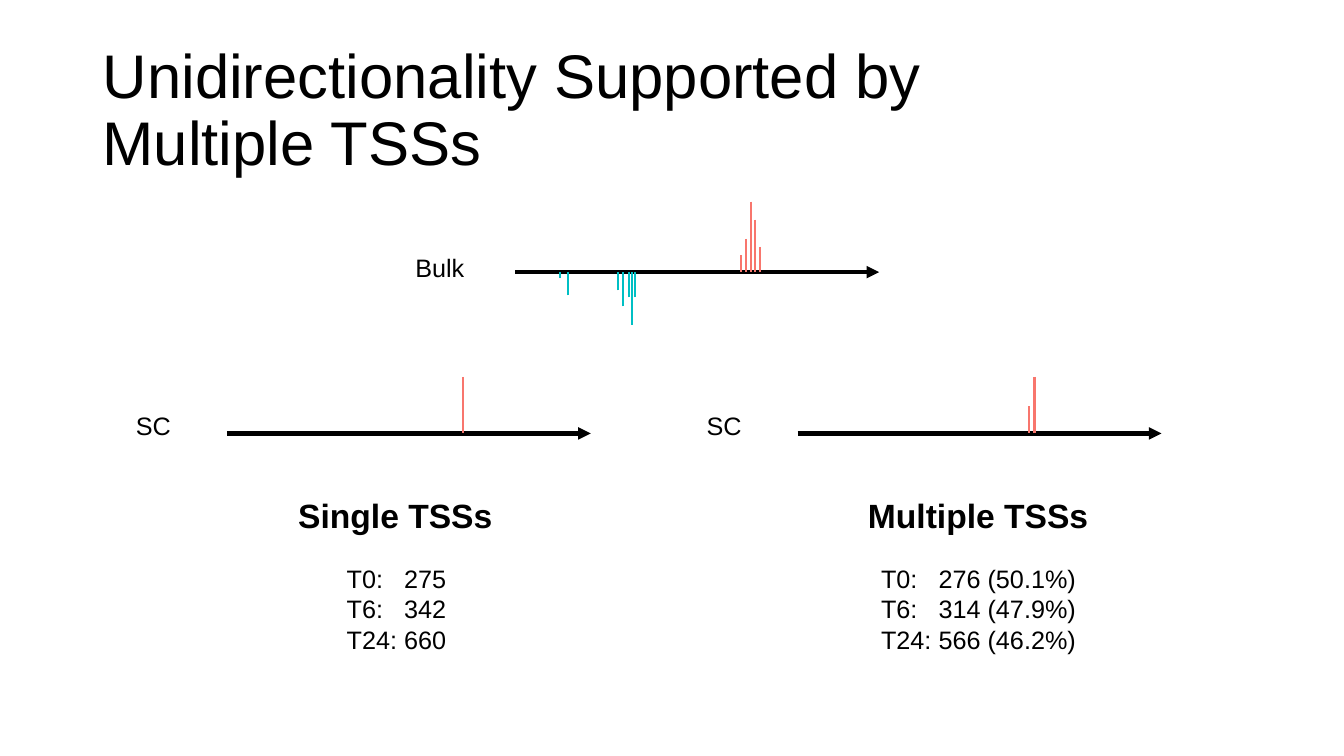
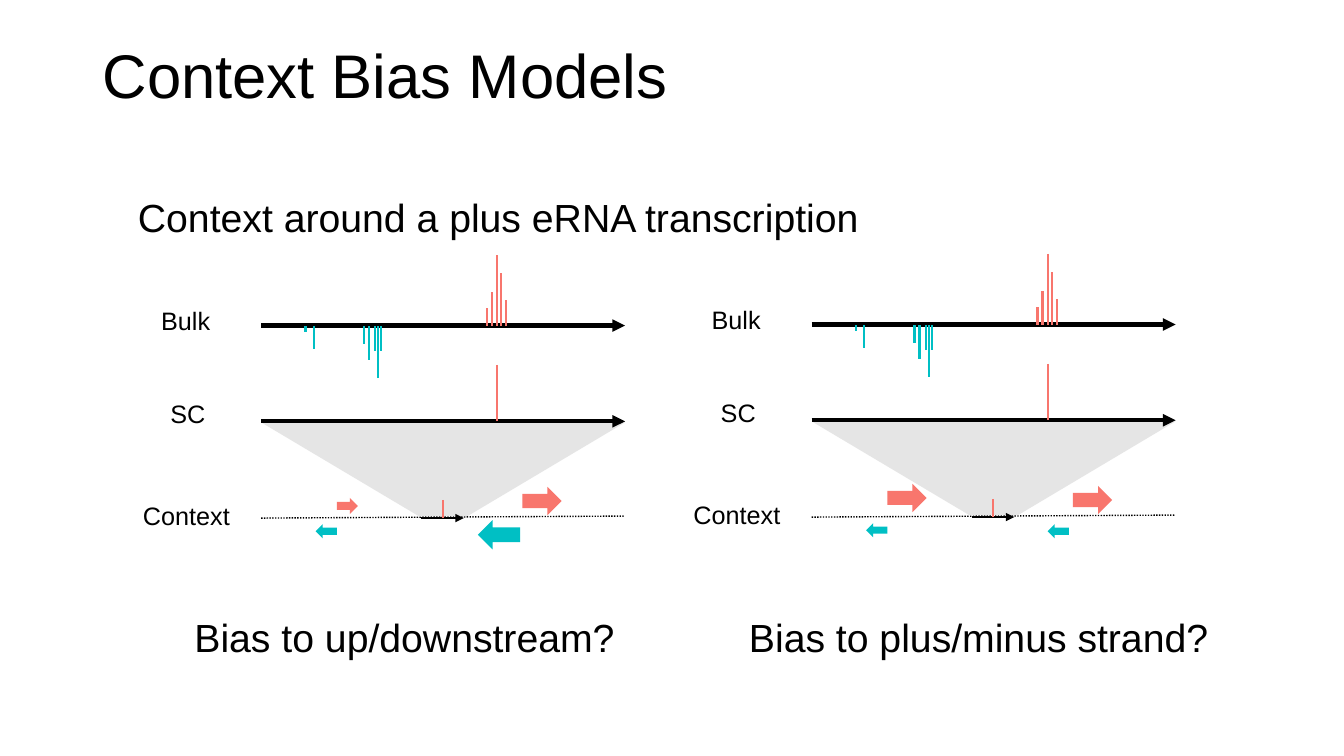
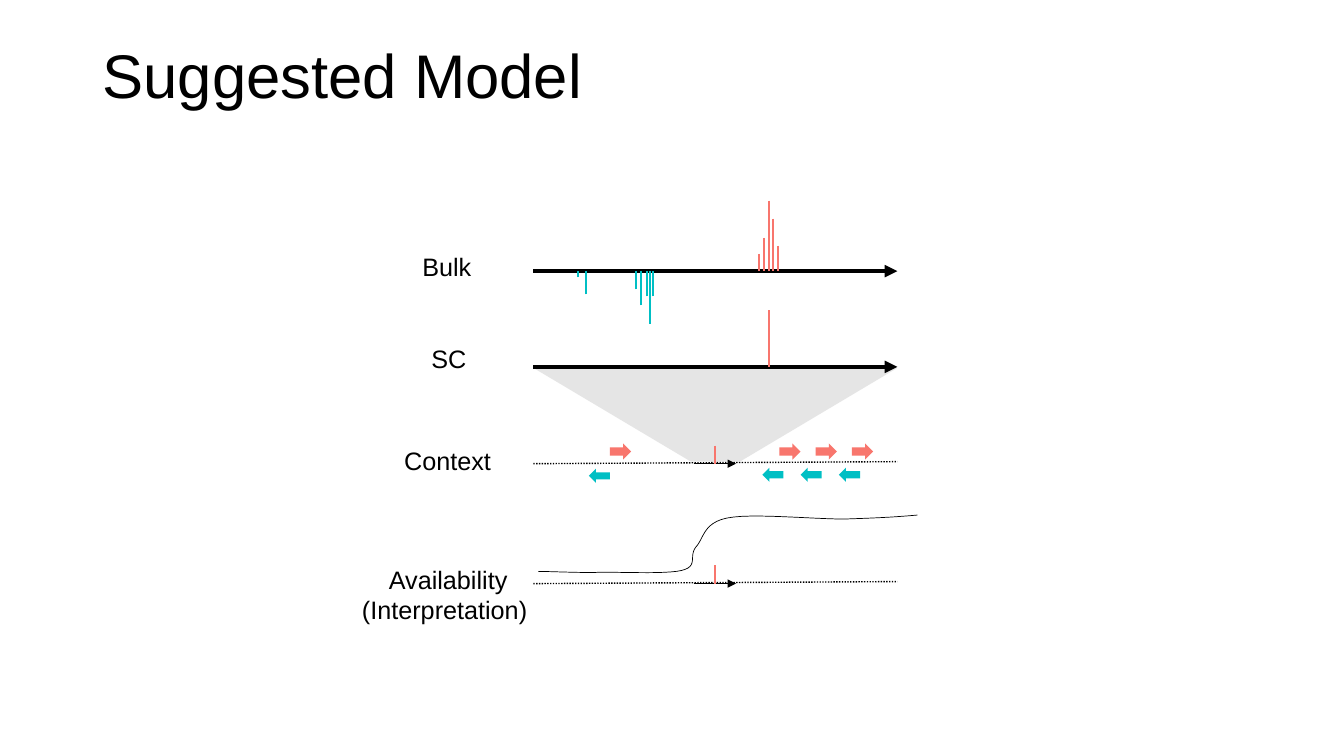
from lxml import etree
from pptx import Presentation
from pptx.dml.color import RGBColor
from pptx.enum.dml import MSO_LINE
from pptx.enum.shapes import MSO_CONNECTOR, MSO_SHAPE
from pptx.enum.text import PP_ALIGN
from pptx.oxml.ns import qn
from pptx.util import Inches, Pt

STRAIGHT = MSO_CONNECTOR.STRAIGHT
BLOCK_ARROW = MSO_SHAPE.RIGHT_ARROW
TRAPEZOID = MSO_SHAPE.TRAPEZOID
DOTTED = MSO_LINE.ROUND_DOT
LEFT, CENTER = PP_ALIGN.LEFT, PP_ALIGN.CENTER

rgb = RGBColor.from_string
FONT = "Arial"
BLACK, GREY, PLUS, MINUS = "000000", "808080", "F8766D", "00BFC4"

AXIS = 3.61          # length of every track
SC_DROP, CONTEXT_DROP = 0.95, 1.91   # distance below the bulk track

# Spikes: distance along the track, height (negative points down)
PLUS_SPIKES = [(2.24, 0.17), (2.29, 0.33), (2.34, 0.7), (2.38, 0.52), (2.43, 0.25)]
MINUS_SPIKES = [(0.44, -0.06), (0.52, -0.23), (1.02, -0.18), (1.07, -0.34),
                (1.13, -0.25), (1.16, -0.52), (1.19, -0.25)]
BULK_SPIKES = PLUS_SPIKES + MINUS_SPIKES
SINGLE_TSS = [(2.34, 0.56)]
MULTIPLE_TSS = [(2.3, 0.27), (2.35, 0.56)]

# Block arrows: width, height, rotation, colour
BLOCK_ARROWS = {
    "plus": (0.21, 0.16, 0, PLUS),
    "PLUS": (0.39, 0.28, 0, PLUS),
    "minus": (0.21, 0.14, 180, MINUS),
    "MINUS": (0.42, 0.29, 180, MINUS),
}


def add_text(slide, box, lines, size, bold=False, wrap=False, align=LEFT,
             spacing=1.0, tab=None):
    """Place one paragraph per line; tab is a tab stop in inches."""
    frame = slide.shapes.add_textbox(*map(Inches, box)).text_frame
    frame.word_wrap = wrap
    for number, line in enumerate(lines):
        paragraph = frame.paragraphs[0] if number == 0 else frame.add_paragraph()
        paragraph.alignment = align
        paragraph.line_spacing = spacing
        if tab:
            stops = etree.SubElement(paragraph._p.get_or_add_pPr(), qn("a:tabLst"))
            etree.SubElement(stops, qn("a:tab"), pos=str(Inches(tab)), algn="l")
        run = paragraph.add_run()
        run.text = line
        run.font.name = FONT
        run.font.size = Pt(size)
        run.font.bold = bold
        run.font.color.rgb = rgb(BLACK)


def add_line(slide, start, end, color, width, arrow=False, dash=None):
    connector = slide.shapes.add_connector(STRAIGHT, *map(Inches, (*start, *end)))
    connector.line.color.rgb = rgb(color)
    connector.line.width = Pt(width)
    if dash:
        connector.line.dash_style = dash
    properties = connector._element.spPr
    if arrow:
        etree.SubElement(properties.find(qn("a:ln")), qn("a:tailEnd"), type="triangle")
    etree.SubElement(properties, qn("a:effectLst"))


prs = Presentation()
prs.slide_width, prs.slide_height = Inches(13.33), Inches(7.5)

titles = [
    ["Unidirectionality Supported by", "Multiple TSSs"],
    ["Context Bias Models"],
    ["Suggested Model"],
]
for title in titles:
    slide = prs.slides.add_slide(prs.slide_layouts[6])
    add_text(slide, (0.92, 0.4, 11.5, 1.45), title, 44, wrap=True, spacing=0.9)
tss_slide, bias_slide, model_slide = prs.slides

# Context panels: slide, left, bulk track height, label shift, block arrows
panels = [
    (bias_slide, 2.59, 3.23, 0,
     [("minus", 0.54, 0.06), ("plus", 0.75, -0.2),
      ("PLUS", 2.59, -0.31), ("MINUS", 2.15, 0.02)]),
    (bias_slide, 8.05, 3.22, 0,
     [("minus", 0.54, 0.06), ("PLUS", 0.75, -0.33),
      ("PLUS", 2.59, -0.31), ("minus", 2.34, 0.07)]),
    (model_slide, 5.29, 2.69, -0.11,
     [("minus", 0.55, 0.05), ("plus", 0.76, -0.2)]
     + [("plus", 2.44 + 0.36 * i, -0.2) for i in range(3)]
     + [("minus", 2.27 + 0.38 * i, 0.04) for i in range(3)]),
]

# Tracks: slide, left, height, label, label shift, spikes
tracks = [
    (tss_slide, 5.11, 2.7, "Bulk", 0, BULK_SPIKES),
    (tss_slide, 2.25, 4.3, "SC", 0, SINGLE_TSS),
    (tss_slide, 7.91, 4.3, "SC", 0, MULTIPLE_TSS),
]
zooms = [(model_slide, 5.29, 5.79)]

for slide, left, bulk_y, shift, block_arrows in panels:
    sc_y, context_y = bulk_y + SC_DROP, bulk_y + CONTEXT_DROP
    tracks += [(slide, left, bulk_y, "Bulk", shift, BULK_SPIKES),
               (slide, left, sc_y, "SC", shift, SINGLE_TSS)]
    zooms.append((slide, left, context_y))

    funnel = slide.shapes.add_shape(
        TRAPEZOID, *map(Inches, (left, sc_y + 0.01, AXIS, 0.93)))
    funnel.rotation = 180
    funnel.adjustments[0] = 1.68
    funnel.shadow.inherit = False
    funnel.line.fill.background()
    funnel.fill.solid()
    funnel.fill.fore_color.rgb = rgb(GREY)
    tint = funnel._element.spPr.find(qn("a:solidFill"))[0]
    etree.SubElement(tint, qn("a:alpha"), val="20000")

    add_text(slide, (left - 1.27 + shift, context_y - 0.23, 1.07, 0.4), ["Context"], 18)
    for kind, dx, dy in block_arrows:
        width, height, rotation, color = BLOCK_ARROWS[kind]
        block = slide.shapes.add_shape(
            BLOCK_ARROW, *map(Inches, (left + dx, context_y + dy, width, height)))
        block.rotation = rotation
        block.shadow.inherit = False
        block.line.fill.background()
        block.fill.solid()
        block.fill.fore_color.rgb = rgb(color)

label_boxes = {"Bulk": (-1.09, -0.25, 0.69), "SC": (-1.0, -0.28, 0.55)}
for slide, left, y, label, shift, spikes in tracks:
    dx, dy, width = label_boxes[label]
    add_text(slide, (left + dx + shift, y + dy, width, 0.4), [label], 18)
    add_line(slide, (left, y), (left + AXIS, y), BLACK, 3, arrow=True)
    for along, height in spikes:
        color = PLUS if height > 0 else MINUS
        add_line(slide, (left + along, y - height), (left + along, y), color, 1.5)

for slide, left, y in zooms:
    add_line(slide, (left, y), (left + AXIS, y - 0.02), BLACK, 1, dash=DOTTED)
    add_line(slide, (left + 1.59, y), (left + 2.01, y), BLACK, 1, arrow=True)
    add_line(slide, (left + 1.8, y - 0.18), (left + 1.8, y), PLUS, 1.5)

# Slide 1: counts below the single-cell tracks
add_text(tss_slide, (2.86, 4.86, 2.16, 0.5), ["Single TSSs"], 24, bold=True)
add_text(tss_slide, (8.51, 4.86, 2.42, 0.5), ["Multiple TSSs"], 24, bold=True)
add_text(tss_slide, (3.34, 5.54, 1.2, 1.01),
         ["T0:\t275", "T6:\t342", "T24:\t660"], 18, wrap=True, tab=0.57)
add_text(tss_slide, (8.64, 5.54, 2.29, 1.01),
         ["T0:\t276 (50.1%)", "T6:\t314 (47.9%)", "T24:\t566 (46.2%)"],
         18, wrap=True, tab=0.57)

# Slide 2: heading and questions
add_text(bias_slide, (1.27, 1.87, 7.8, 0.57),
         ["Context around a plus eRNA transcription"], 28, wrap=True)
add_text(bias_slide, (1.83, 6.04, 4.42, 0.57), ["Bias to up/downstream?"], 28)
add_text(bias_slide, (7.33, 6.04, 4.81, 0.57), ["Bias to plus/minus strand?"], 28)

# Slide 3: availability curve, sampled from cubic segments
add_text(model_slide, (3.48, 5.55, 1.93, 0.71),
         ["Availability", "(Interpretation) "], 18, align=CENTER)
curve_start = (5.34, 5.67)
curve_segments = [
    ((5.49, 5.67), (5.64, 5.68), (5.88, 5.68)),
    ((6.11, 5.67), (6.59, 5.7), (6.76, 5.66)),
    ((6.93, 5.62), (6.83, 5.52), (6.9, 5.43)),
    ((6.98, 5.35), (6.97, 5.19), (7.21, 5.14)),
    ((7.45, 5.09), (8.05, 5.15), (8.37, 5.15)),
    ((8.68, 5.14), (8.89, 5.13), (9.1, 5.11)),
]
STEPS = 12
curve_points = []
segment_start = curve_start
for control_1, control_2, segment_end in curve_segments:
    for step in range(1, STEPS + 1):
        t = step / STEPS
        curve_points.append(tuple(
            Inches((1 - t) ** 3 * a + 3 * (1 - t) ** 2 * t * b
                   + 3 * (1 - t) * t ** 2 * c + t ** 3 * d)
            for a, b, c, d in zip(segment_start, control_1, control_2, segment_end)))
    segment_start = segment_end
builder = model_slide.shapes.build_freeform(*map(Inches, curve_start))
builder.add_line_segments(curve_points, close=False)
availability = builder.convert_to_shape()
availability.shadow.inherit = False
availability.fill.background()
availability.line.color.rgb = rgb(BLACK)
availability.line.width = Pt(0.5)

prs.save("out.pptx")
